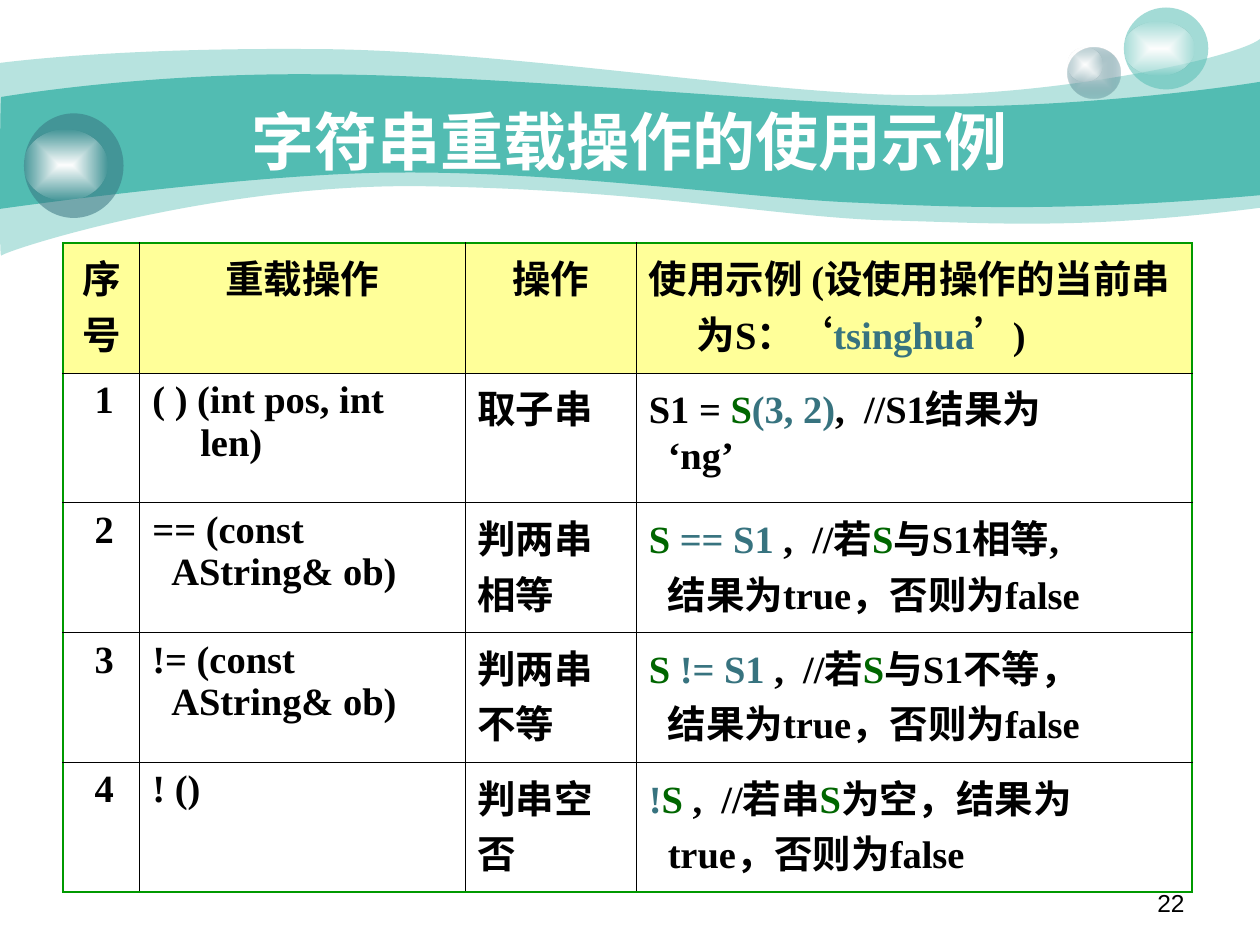
from lxml.etree import SubElement
from pptx import Presentation
from pptx.dml.color import RGBColor
from pptx.enum.shapes import MSO_SHAPE
from pptx.enum.text import MSO_ANCHOR, PP_ALIGN
from pptx.oxml import parse_xml
from pptx.oxml.ns import nsdecls, qn
from pptx.util import Inches, Pt

TEAL, SLATE, GREEN, BLACK, WHITE = "52BCB2", "37737F", "006600", "000000", "FFFFFF"
HEADER_FILL, FRAME = "FFFF99", "009900"
SERIF = "Times New Roman"

TITLE = "字符串重载操作的使用示例"
PAGE_NUMBER = "22"
HEADERS = [["序", "号"], ["重载操作"], ["操作"],
           [[("使用示例 (设使用操作的当前串为S：‘", BLACK), ("tsinghua", SLATE), ("’)", BLACK)]]]
# Each cell is a list of lines; a line is a string or a list of (text, colour) spans.
ROWS = [
    [["1"], ["( ) (int pos, int len)"], ["取子串"],
     [[("S1 = ", BLACK), ("S", GREEN), ("(3, 2)", SLATE), (",  //S1结果为", BLACK)], "‘ng’"]],
    [["2"], ["== (const", "AString& ob)"], ["判两串", "相等"],
     [[("S ", GREEN), ("== S1", SLATE), (" ,  //若", BLACK), ("S", GREEN), ("与S1相等,", BLACK)],
      "结果为true，否则为false"]],
    [["3"], ["!= (const", "AString& ob)"], ["判两串", "不等"],
     [[("S", GREEN), (" != S1", SLATE), (" ,  //若", BLACK), ("S", GREEN), ("与S1不等，", BLACK)],
      "结果为true，否则为false"]],
    [["4"], ["! ()"], ["判串空", "否"],
     [[("!", SLATE), ("S", GREEN), (" ,  //若串", BLACK), ("S", GREEN), ("为空，结果为", BLACK)],
      "true，否则为false"]],
]
COLUMN_WIDTHS = [0.61, 2.58, 1.36, 4.41]
ROW_HEIGHT = 1.03
NUMBER_COLUMN, SYMBOL_COLUMN, USAGE_COLUMN = 0, 1, 3
HANGING, STEP = 0.38, 0.15

# Waves: opacity, then the start point and segments; one point makes a line, three a curve.
WAVES = [
    (41, (0, 0.5), [
        [(0.24, 0.47), (1.07, 0.38), (2.47, 0.39)], [(3.86, 0.39), (5.75, 0.7), (6.99, 0.75)],
        [(8.22, 0.8), (9.8, 0.47), (10, 0.31)], [(10, 1.65)],
        [(8.58, 1.83), (7.87, 1.77), (7.05, 1.75)], [(6.22, 1.73), (5.15, 1.51), (3.43, 1.48)],
        [(1.72, 1.44), (0.04, 1.99), (0.01, 2.03)], [(-0.01, 2.08), (0, 0.75), (0, 0.5)]]),
    (100, (0.01, 0.77), [
        [(0.02, 0.77), (1.1, 0.58), (2.48, 0.59)], [(3.86, 0.59), (5.95, 0.8), (7.18, 0.84)],
        [(8.41, 0.88), (9.76, 0.69), (10, 0.65)], [(10, 1.55)],
        [(8.53, 1.68), (7.65, 1.65), (6.82, 1.61)], [(5.99, 1.58), (4.47, 1.36), (3.17, 1.37)],
        [(2.03, 1.37), (-0.02, 1.66), (-0.01, 1.66)], [(0, 1.66), (0, 0.77), (0.01, 0.77)]]),
]
# Bubbles: place, then (colour, opacity) stops; two stops make a glow from the centre.
GLOW = [(WHITE, 100), (WHITE, 0)]
BUBBLES = [
    ((8.47, 0.38, 0.42, 0.4), [("CCDBDE", 100), (SLATE, 31)]),
    ((8.47, 0.38, 0.28, 0.27), GLOW),
    ((8.92, 0.06, 0.67, 0.65), [(TEAL, 53)]),
    ((8.92, 0.17, 0.56, 0.43), GLOW),
    ((0.19, 0.9, 0.79, 0.83), [(SLATE, 53)]),
    ((0.19, 1.03, 0.66, 0.56), GLOW),
]


def rgb(value):
    return RGBColor.from_string(value)


def paint(shape, color, opacity):
    shape.shadow.inherit = False
    shape.line.fill.background()
    shape.fill.solid()
    shape.fill.fore_color.rgb = rgb(color)
    if opacity < 100:
        tint = shape._element.spPr.find(".//" + qn("a:srgbClr"))
        SubElement(tint, qn("a:alpha"), val=str(opacity * 1000))


def paint_glow(shape, stops):
    paint(shape, WHITE, 100)
    marks = "".join(
        f'<a:gs pos="{index * 100000}"><a:srgbClr val="{color}">'
        f'<a:alpha val="{opacity * 1000}"/></a:srgbClr></a:gs>'
        for index, (color, opacity) in enumerate(stops))
    gradient = parse_xml(
        f'<a:gradFill {nsdecls("a")} rotWithShape="1"><a:gsLst>{marks}</a:gsLst>'
        '<a:path path="rect"><a:fillToRect l="50000" t="50000" r="50000" b="50000"/></a:path>'
        '</a:gradFill>')
    properties = shape._element.spPr
    properties.replace(properties.find(qn("a:solidFill")), gradient)


def bend(shape, segments):
    """Turn each run of three straight steps that stands for a curve into one Bezier."""
    steps = iter(list(shape._element.spPr.iter(qn("a:lnTo"))))
    for segment in segments:
        group = [next(steps) for _ in segment]
        if len(group) == 3:
            curve = parse_xml(f'<a:cubicBezTo {nsdecls("a")}/>')
            group[0].addprevious(curve)
            for step in group:
                curve.append(step[0])
                step.getparent().remove(step)


def add_wave(page, opacity, start, segments):
    points = [(Inches(x), Inches(y)) for segment in segments for x, y in segment]
    builder = page.shapes.build_freeform(*map(Inches, start))
    builder.add_line_segments(points, close=True)
    wave = builder.convert_to_shape()
    bend(wave, segments)
    paint(wave, TEAL, opacity)


def style(span, size, color, name=SERIF, bold=True):
    span.font.size, span.font.name, span.font.bold = Pt(size), name, bold
    span.font.color.rgb = rgb(color)


def add_label(page, place, text, align, *look):
    box = page.shapes.add_textbox(*map(Inches, place))
    box.text_frame.word_wrap = True
    box.text_frame.text = text
    para = box.text_frame.paragraphs[0]
    para.alignment = align
    style(para.runs[0], *look)
    return box


def set_border(cell, side, color, width):
    line = SubElement(cell._tc.get_or_add_tcPr(), qn(f"a:ln{side}"), w=str(Pt(width)))
    SubElement(SubElement(line, qn("a:solidFill")), qn("a:srgbClr"), val=color)


def fill_cell(cell, lines, row, column):
    frame = cell.text_frame
    for index, line in enumerate(lines):
        para = frame.paragraphs[0] if index == 0 else frame.add_paragraph()
        for text, color in [(line, BLACK)] if isinstance(line, str) else line:
            span = para.add_run()
            span.text = text
            style(span, 22, color)
        stepped = row > 0 and (column == NUMBER_COLUMN or
                               index > 0 and column in (SYMBOL_COLUMN, USAGE_COLUMN))
        left, first = (STEP, 0) if stepped else (HANGING, -HANGING)
        properties = para._p.get_or_add_pPr()
        properties.set("marL", str(Inches(left)))
        properties.set("indent", str(Inches(first)))
        centred = row == 0 and column != USAGE_COLUMN
        para.alignment = PP_ALIGN.CENTER if centred else PP_ALIGN.LEFT


def add_operator_table(page):
    grid = [HEADERS] + ROWS
    last_row, last_column = len(grid) - 1, len(COLUMN_WIDTHS) - 1
    table = page.shapes.add_table(
        len(grid), len(COLUMN_WIDTHS), Inches(0.5), Inches(1.93),
        Inches(sum(COLUMN_WIDTHS)), Inches(ROW_HEIGHT * len(grid))).table
    table.first_row = table.horz_banding = False
    for column, width in zip(table.columns, COLUMN_WIDTHS):
        column.width = Inches(width)
    for r, cells in enumerate(grid):
        table.rows[r].height = Inches(ROW_HEIGHT)
        for c, lines in enumerate(cells):
            cell = table.cell(r, c)
            fill_cell(cell, lines, r, c)
            edges = {"L": c == 0, "R": c == last_column, "T": r == 0, "B": r == last_row}
            for side, outer in edges.items():
                set_border(cell, side, *((FRAME, 1.08) if outer else (BLACK, 0.45)))
            cell.fill.solid()
            cell.fill.fore_color.rgb = rgb(HEADER_FILL if r == 0 else WHITE)


def main():
    deck = Presentation()
    deck.slide_width, deck.slide_height = Inches(10), Inches(7.5)
    page = deck.slides.add_slide(deck.slide_layouts[6])
    for wave in WAVES:
        add_wave(page, *wave)
    for place, stops in BUBBLES:
        bubble = page.shapes.add_shape(MSO_SHAPE.OVAL, *map(Inches, place))
        if len(stops) == 1:
            paint(bubble, *stops[0])
        else:
            paint_glow(bubble, stops)
    add_label(page, (7.17, 7, 2.33, 0.35), PAGE_NUMBER, PP_ALIGN.RIGHT, 14, BLACK, "Arial", False)
    title = add_label(page, (1, 0.9, 8.08, 0.43), TITLE, PP_ALIGN.CENTER, 36, WHITE)
    title.text_frame.vertical_anchor = MSO_ANCHOR.MIDDLE
    title.text_frame.margin_right = Inches(0.19)
    add_operator_table(page)
    deck.save("out.pptx")


if __name__ == "__main__":
    main()
